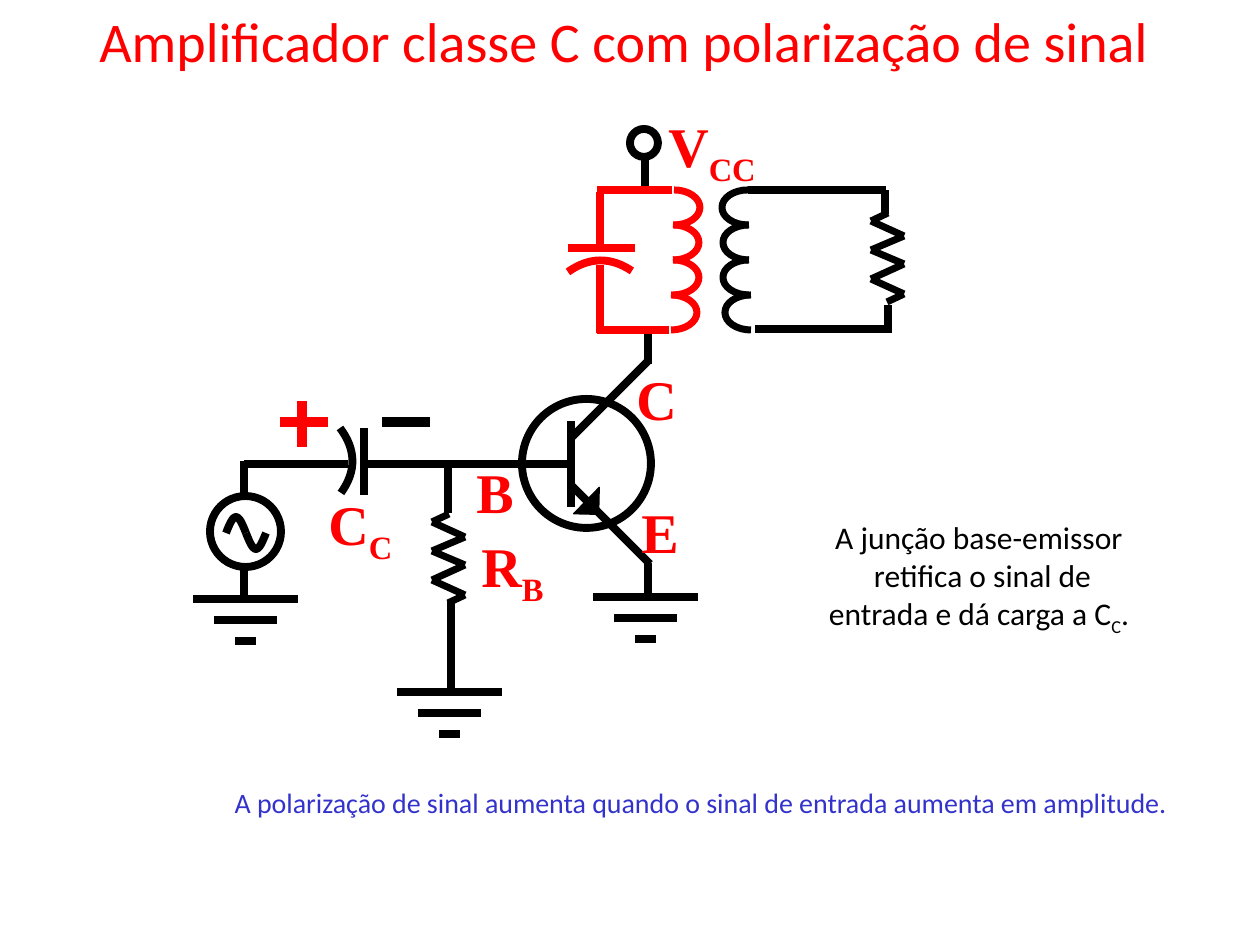
from itertools import pairwise
from math import cos, pi, sin

from lxml.etree import SubElement
from pptx import Presentation
from pptx.dml.color import RGBColor
from pptx.enum.shapes import MSO_CONNECTOR as Link, MSO_SHAPE as Kind
from pptx.enum.text import MSO_AUTO_SIZE as Fit, PP_ALIGN as Align
from pptx.oxml.ns import qn
from pptx.util import Pt

UNIT = 914400 / 126
BLACK, RED, BLUE = "000000", "FF0000", "3333CC"

# Straight wires and plates: x1, y1, x2, y2
WIRES = [
    (572, 486, 650, 564), (570, 464, 368, 464), (571, 438, 649, 360),
    (571, 421, 571, 507), (648, 333, 648, 364), (364, 428, 364, 495),
    (348, 464, 244, 464), (244, 461, 244, 495), (244, 568, 244, 601),
    (648, 563, 648, 595), (755, 329, 892, 329), (748, 190, 886, 190),
    (888, 305, 888, 329), (885, 190, 885, 214), (645, 188, 645, 158),
    (448, 513, 448, 465), (451, 648, 451, 600), (451, 689, 451, 643),
]
TANK = [
    (568, 248, 635, 248), (600, 265, 600, 333), (600, 246, 600, 192),
    (669, 330, 597, 330), (672, 190, 597, 190),
]
MINUS = [(382, 422, 430, 422)]
PLUS = [(302, 447, 302, 401), (280, 422, 328, 422)]

GROUNDS = [(450, 692), (246, 599), (646, 597)]
BARS = [105, 63, 21]
LOADS = [(432, 514), (871, 213)]
ZIGZAG = [(17, 0), (0, 8), (33, 23), (0, 37), (33, 51), (0, 66), (33, 81), (16, 89)]

# Circles: x, y, diameter
CIRCLES = [(522, 399, 129), (210, 496, 71), (630, 129, 28)]

# Coils: start x of each turn, direction, colour
COILS = [((674, 673, 673, 671), 1, RED), ((748, 749, 749, 751), -1, BLACK)]
TOP, TURN, BULGE = 190, 35, 26

# Curved plates: start, end, bulge, colour
PLATES = [
    ((340, 428), (341, 493), (12, 0), BLACK),
    ((568, 272), (632, 271), (0, -11), RED),
]
WAVE = (246, 533, 20, 16)

# Labels: text, subscript, x, y, width
LABELS = [
    ("C", "", 624, 358, 66), ("B", "", 464, 451, 63), ("E", "", 629, 491, 63),
    ("V", "CC", 656, 105, 120), ("R", "B", 469, 525, 100), ("C", "C", 316, 483, 93),
]
# Notes: box, wrap, align, size, colour, paragraphs of (text, is subscript)
NOTES = [
    ((87, 0, 1121, 81), False, Align.LEFT, 32, RED,
     [[("Amplificador classe C com polarização de sinal", False)]]),
    ((814, 512, 330, 127), False, Align.CENTER, 18, BLACK,
     [[("A junção base-emissor", False)],
      [(" retifica o sinal de", False)],
      [("entrada e dá carga a C", False), ("C", True), (".", False)]]),
    ((178, 779, 1046, 47), True, Align.CENTER, 16, BLUE,
     [[("A polarização de sinal aumenta quando o sinal de entrada "
        "aumenta em amplitude.", False)]]),
]

deck = Presentation()


def emu(*nums):
    return [round(n * UNIT) for n in nums]


def tint(code):
    return RGBColor.from_string(code)


def stroke(shape, color, width):
    shape.line.color.rgb = tint(color)
    shape.line.width = Pt(width)


def wire(ends, color=BLACK, width=4.5):
    link = shapes.add_connector(Link.STRAIGHT, *emu(*ends))
    stroke(link, color, width)
    SubElement(link._element.spPr, qn("a:effectLst"))


def curve(points, color=BLACK, width=4.5):
    first, *rest = [tuple(emu(*p)) for p in points]
    pen = shapes.build_freeform(*first, scale=1.0)
    pen.add_line_segments(rest, close=False)
    shape = pen.convert_to_shape()
    shape.shadow.inherit = False
    shape.fill.background()
    stroke(shape, color, width)


def bow(start, end, bulge, steps=16):
    """Points of a parabola from start to end that swells by bulge."""
    ts = [i / steps for i in range(steps + 1)]
    return [tuple(a + (b - a) * t + 4 * t * (1 - t) * c
                  for a, b, c in zip(start, end, bulge)) for t in ts]


def write(box, paras, look, align=Align.LEFT, wrap=False):
    frame = shapes.add_textbox(*emu(*box)).text_frame
    frame.word_wrap = wrap
    frame.auto_size = Fit.SHAPE_TO_FIT_TEXT
    for i, runs in enumerate(paras):
        para = frame.add_paragraph() if i else frame.paragraphs[0]
        para.alignment = align
        for text, low in runs:
            run = para.add_run()
            run.text = text
            for key, val in look.items():
                if key == "color":
                    run.font.color.rgb = tint(val)
                else:
                    setattr(run.font, key, val)
            if low:
                run._r.get_or_add_rPr().set("baseline", "-25000")


deck.slide_width, deck.slide_height = emu(1260, 945)
shapes = deck.slides.add_slide(deck.slide_layouts[6]).shapes

for wires, color, width in [(WIRES, BLACK, 4.5), (TANK, RED, 4.5),
                            (MINUS, BLACK, 6), (PLUS, RED, 6)]:
    for ends in wires:
        wire(ends, color, width)

for x, y in GROUNDS:
    for i, bar in enumerate(BARS):
        wire((x - bar / 2, y + 21 * i, x + bar / 2, y + 21 * i))

for x, y in LOADS:
    for (x1, y1), (x2, y2) in pairwise(ZIGZAG):
        wire((x + x1, y + y1, x + x2, y + y2), width=4)

for x, y, size in CIRCLES:
    ring = shapes.add_shape(Kind.OVAL, *emu(x, y, size, size))
    ring.shadow.inherit = False
    ring.fill.background()
    stroke(ring, BLACK, 4.5)

tip = shapes.add_shape(Kind.RIGHT_TRIANGLE, *emu(573, 488, 27, 25))
tip.rotation = 271.3
tip.shadow.inherit = False
tip.fill.solid()
tip.fill.fore_color.rgb = tint(BLACK)
stroke(tip, BLACK, 0.75)

for starts, side, color in COILS:
    for i, x in enumerate(starts):
        mid = TOP + TURN * (i + 0.5)
        curve([(x + side * BULGE * sin(pi * k / 16),
                mid - TURN / 2 * cos(pi * k / 16)) for k in range(17)], color, 4)

for start, end, bulge, color in PLATES:
    curve(bow(start, end, bulge), color)

x, y, reach, rise = WAVE
for side in (-1, 1):
    curve([(x + side * reach * k / 12, y + side * rise * sin(pi * k / 12))
           for k in range(13)])

mark = dict(name="Times New Roman", size=Pt(32), bold=True, color=RED)
for text, low, x, y, width in LABELS:
    runs = [(text, False)] + ([(low, True)] if low else [])
    write((x, y, width, 73), [runs], mark)

for box, wrap, align, size, color, paras in NOTES:
    write(box, paras, dict(name="Calibri", size=Pt(size), color=color), align, wrap)

deck.save("out.pptx")
